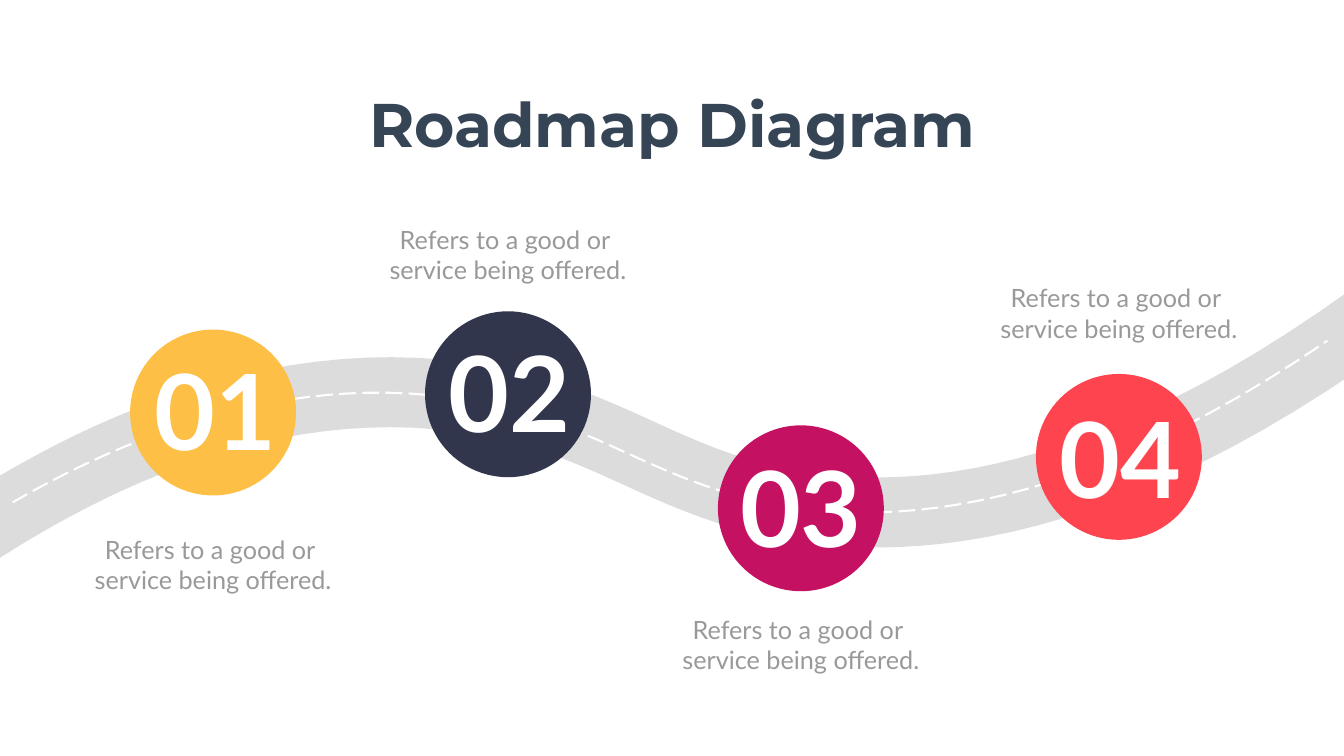
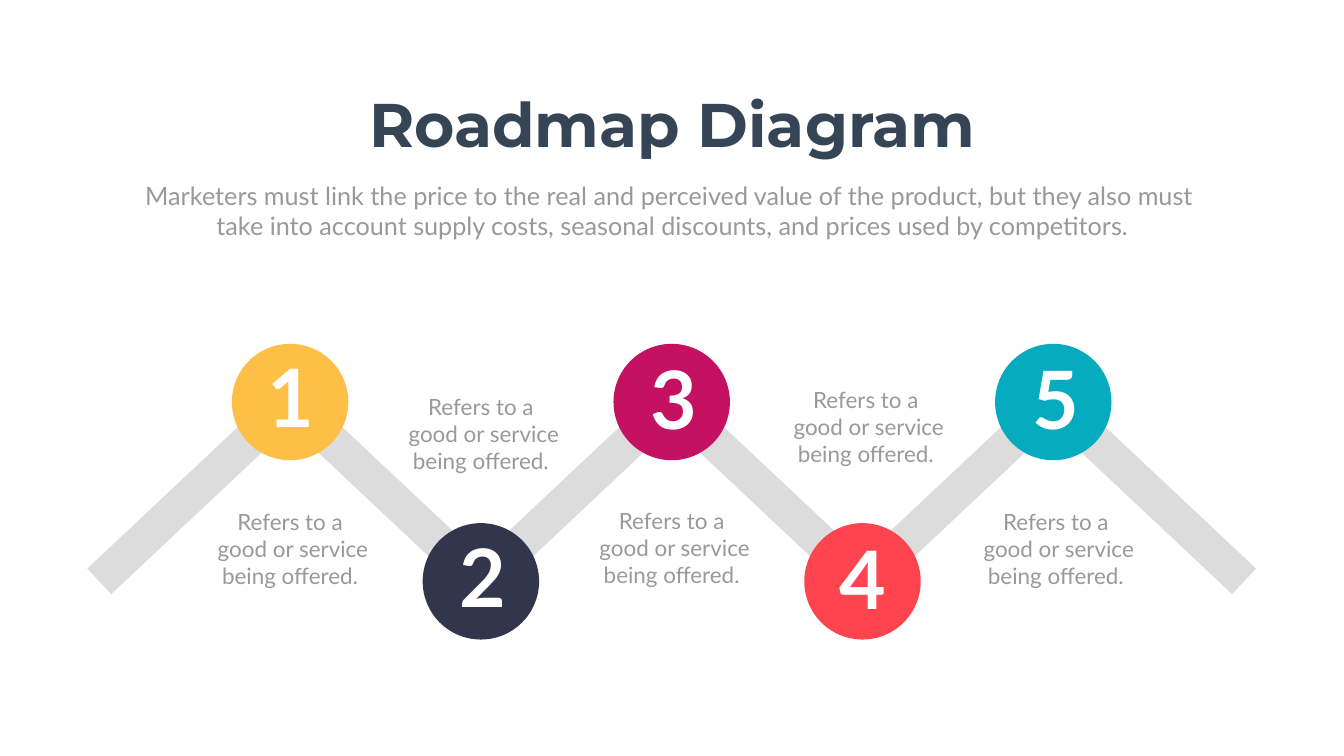
from dataclasses import dataclass

from lxml import etree
from pptx import Presentation
from pptx.dml.color import RGBColor
from pptx.enum import dml, shapes, text
from pptx.oxml.ns import qn
from pptx.util import Pt

Point = tuple[float, float]

ROAD = RGBColor(0x79, 0x79, 0x79)
WHITE = RGBColor(0xFF, 0xFF, 0xFF)
GRAY = RGBColor(0x99, 0x99, 0x99)
SLATE = RGBColor(0x36, 0x45, 0x56)
YELLOW = RGBColor(0xFE, 0xBF, 0x46)
NAVY = RGBColor(0x31, 0x36, 0x4C)
MAGENTA = RGBColor(0xC4, 0x11, 0x62)
RED = RGBColor(0xFE, 0x44, 0x4F)
TEAL = RGBColor(0x06, 0xAB, 0xC0)

SLIDE_WIDTH, SLIDE_HEIGHT = 1919.5, 1080
TITLE = "Roadmap Diagram"
TITLE_BOX = (517.7, 119.5, 884.2, 113.8)
INTRO_BOX = (188.6, 253.4, 1543, 94.3)
INTRO = [
    "Marketers must link the price to the real and perceived value of the product, but they also must ",
    "take into account supply costs, seasonal discounts, and prices used by competitors.",
]

TITLE_FONT = {"name": "Montserrat", "size": Pt(88), "bold": True}
BODY_FONT = {"name": "Lato", "size": Pt(36), "bold": False}
NUMBER_FONT = {"name": "Lato", "bold": True}


@dataclass(frozen=True)
class Stop:
    """A numbered circle on the road; nudges move its texts off its centre."""
    number: str
    color: RGBColor
    center: Point
    number_nudge: Point
    caption_top: float
    caption_nudge: float = 0


@dataclass(frozen=True)
class StopStyle:
    diameter: float
    number_size: float
    number_box: Point
    caption_size: float
    caption_box: Point
    caption: list[str]


CURVE_STYLE = StopStyle(237, 150, (190, 189.4), 36, (364.3, 94.3),
                        ["Refers to a good or ", "service being offered."])
CURVE_STOPS = [
    Stop("01", YELLOW, (304.3, 589.3), (3.9, -5), 759.6),
    Stop("02", NAVY, (725.5, 563.2), (2.5, -4.8), 316.8),
    Stop("03", MAGENTA, (1143.8, 726.1), (1.1, -2.1), 873.4),
    Stop("04", RED, (1598, 652.7), (2.5, 0), 400.3),
]
# Cubic curves that share their end points
ROAD_CURVE = [
    (-41, 763.9), (129.6, 652.3), (381.6, 529.2), (662.4, 567.4),
    (865.4, 595.4), (941, 688.3), (1129, 721.4),
    (1308.2, 753.1), (1579, 728.6), (1960.6, 452.9),
]
LANE_CURVE = [
    (18, 717.8), (182.9, 622.1), (403.9, 535), (645.8, 568.1),
    (848.9, 595.4), (925.2, 688.3), (1112.4, 721.4),
    (1283.8, 751.7), (1539.4, 730.8), (1895.8, 486.7),
]

ZIGZAG_LEFT, ZIGZAG_STEP = 141.8, 272.5
ZIGZAG_HIGH, ZIGZAG_LOW = 574.3, 830.5
ZIGZAG = [(ZIGZAG_LEFT + i * ZIGZAG_STEP, ZIGZAG_HIGH if i % 2 else ZIGZAG_LOW)
          for i in range(7)]
ZIGZAG_STYLE = StopStyle(166.3, 115, (82, 146.9), 32, (245.5, 123.8),
                         ["Refers to a", " good or service being offered."])
ZIGZAG_STOPS = [
    Stop("1", YELLOW, ZIGZAG[1], (1.1, -9), 722.2),
    Stop("2", NAVY, ZIGZAG[2], (2.9, -7.6), 558),
    Stop("3", MAGENTA, ZIGZAG[3], (3.3, -5.4), 720.7),
    Stop("4", RED, ZIGZAG[4], (1.5, -4.7), 548.6, 4.8),
    Stop("5", TEAL, ZIGZAG[5], (4.1, -5.4), 722.2, 3.7),
]


def sample_curve(controls: list[Point], steps: int = 24) -> list[Point]:
    """Turn chained cubic curves into a fine polyline."""
    points = [controls[0]]
    for first in range(0, len(controls) - 1, 3):
        a, b, c, d = controls[first:first + 4]
        for step in range(1, steps + 1):
            t = step / steps
            s = 1 - t
            weights = (s ** 3, 3 * s * s * t, 3 * s * t * t, t ** 3)
            points.append(tuple(sum(w * p[axis] for w, p in zip(weights, (a, b, c, d)))
                                for axis in (0, 1)))
    return points


def draw_path(slide, points: list[Point], color: RGBColor, width: float):
    start, *rest = [(Pt(x), Pt(y)) for x, y in points]
    builder = slide.shapes.build_freeform(*start)
    builder.add_line_segments(rest, close=False)
    path = builder.convert_to_shape()
    path.shadow.inherit = False
    path.fill.background()
    path.line.color.rgb = color
    path.line.width = Pt(width)
    return path


def draw_road(slide, points: list[Point], width: float) -> None:
    road = draw_path(slide, points, ROAD, width)
    tint = road.line.fill._xPr.find(".//" + qn("a:srgbClr"))
    etree.SubElement(tint, qn("a:alpha"), val="25000")


def write(frame, lines: list[str], font: dict, color: RGBColor,
          align=text.PP_ALIGN.CENTER, wrap: bool = True) -> None:
    frame.text = "\n".join(lines)
    frame.word_wrap = wrap
    frame.vertical_anchor = text.MSO_ANCHOR.TOP
    frame.auto_size = text.MSO_AUTO_SIZE.SHAPE_TO_FIT_TEXT
    for paragraph in frame.paragraphs:
        paragraph.alignment = align
        for run in paragraph.runs:
            for key, value in font.items():
                setattr(run.font, key, value)
            run.font.color.rgb = color


def add_text(slide, box: tuple, lines: list[str], font: dict, color: RGBColor, **options) -> None:
    frame = slide.shapes.add_textbox(*map(Pt, box)).text_frame
    write(frame, lines, font, color, **options)


def draw_stop(slide, stop: Stop, style: StopStyle) -> None:
    x, y = stop.center
    radius = style.diameter / 2
    circle = slide.shapes.add_shape(shapes.MSO_SHAPE.OVAL, Pt(x - radius), Pt(y - radius),
                                    Pt(style.diameter), Pt(style.diameter))
    circle.shadow.inherit = False
    circle.fill.solid()
    circle.fill.fore_color.rgb = stop.color
    circle.line.fill.background()

    width, height = style.caption_box
    add_text(slide, (x + stop.caption_nudge - width / 2, stop.caption_top, width, height),
             style.caption, BODY_FONT | {"size": Pt(style.caption_size)}, GRAY)

    width, height = style.number_box
    dx, dy = stop.number_nudge
    add_text(slide, (x + dx - width / 2, y + dy - height / 2, width, height), [stop.number],
             NUMBER_FONT | {"size": Pt(style.number_size)}, WHITE,
             align=text.PP_ALIGN.LEFT, wrap=False)


def add_titled_slide(deck):
    slide = deck.slides.add_slide(deck.slide_layouts[5])
    title = slide.shapes.title
    for side, value in zip(("left", "top", "width", "height"), TITLE_BOX):
        setattr(title, side, Pt(value))
    write(title.text_frame, [TITLE], TITLE_FONT, SLATE, wrap=False)
    return slide


def build_curve_slide(deck) -> None:
    slide = add_titled_slide(deck)
    draw_road(slide, sample_curve(ROAD_CURVE), 100)
    lane = draw_path(slide, sample_curve(LANE_CURVE), WHITE, 3)
    lane.line.dash_style = dml.MSO_LINE.LONG_DASH
    for stop in CURVE_STOPS:
        draw_stop(slide, stop, CURVE_STYLE)


def build_zigzag_slide(deck) -> None:
    slide = add_titled_slide(deck)
    draw_road(slide, ZIGZAG, 50)
    add_text(slide, INTRO_BOX, INTRO, BODY_FONT, GRAY)
    for stop in ZIGZAG_STOPS:
        draw_stop(slide, stop, ZIGZAG_STYLE)


def main() -> None:
    deck = Presentation()
    deck.slide_width, deck.slide_height = Pt(SLIDE_WIDTH), Pt(SLIDE_HEIGHT)
    build_curve_slide(deck)
    build_zigzag_slide(deck)
    deck.save("out.pptx")


if __name__ == "__main__":
    main()
